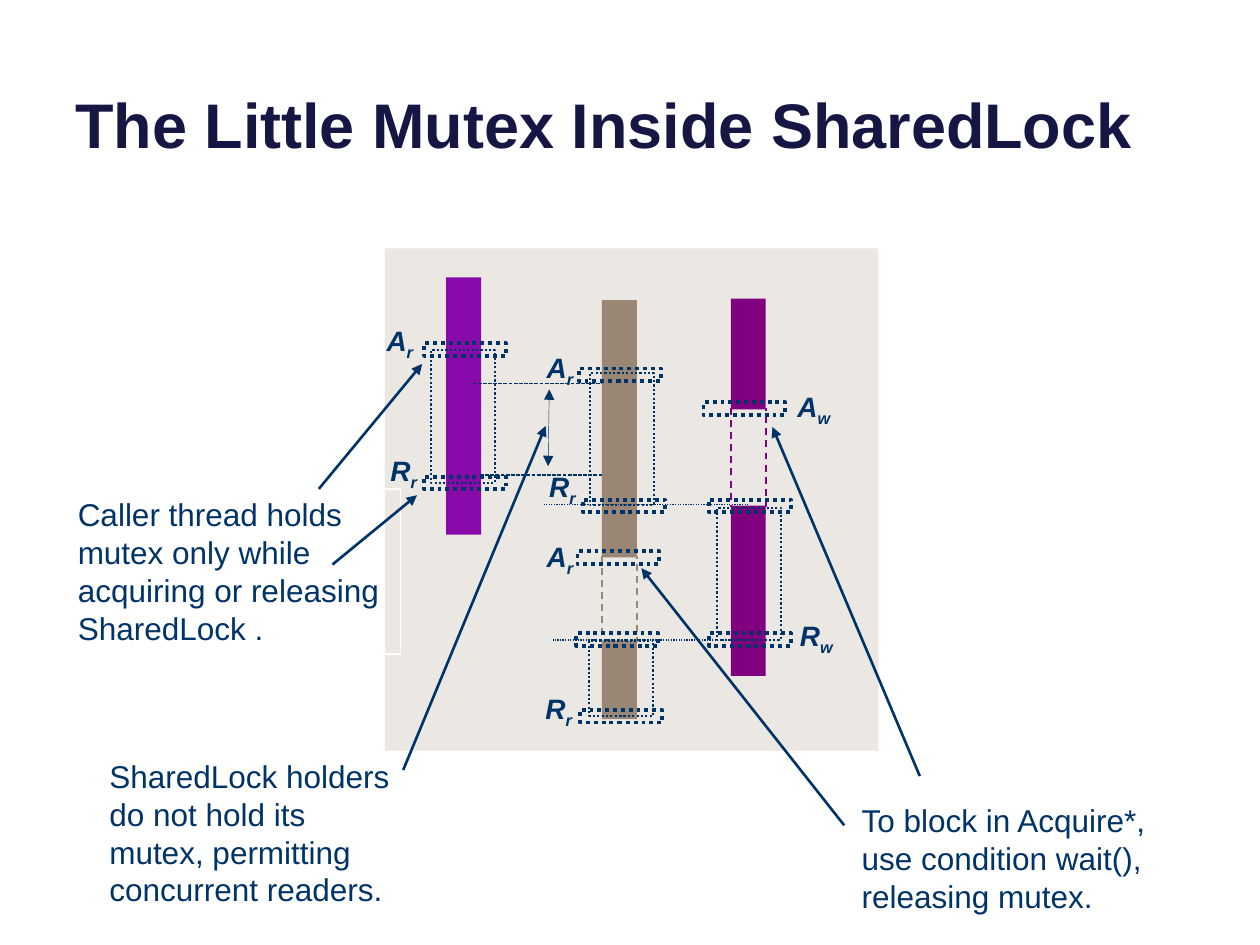
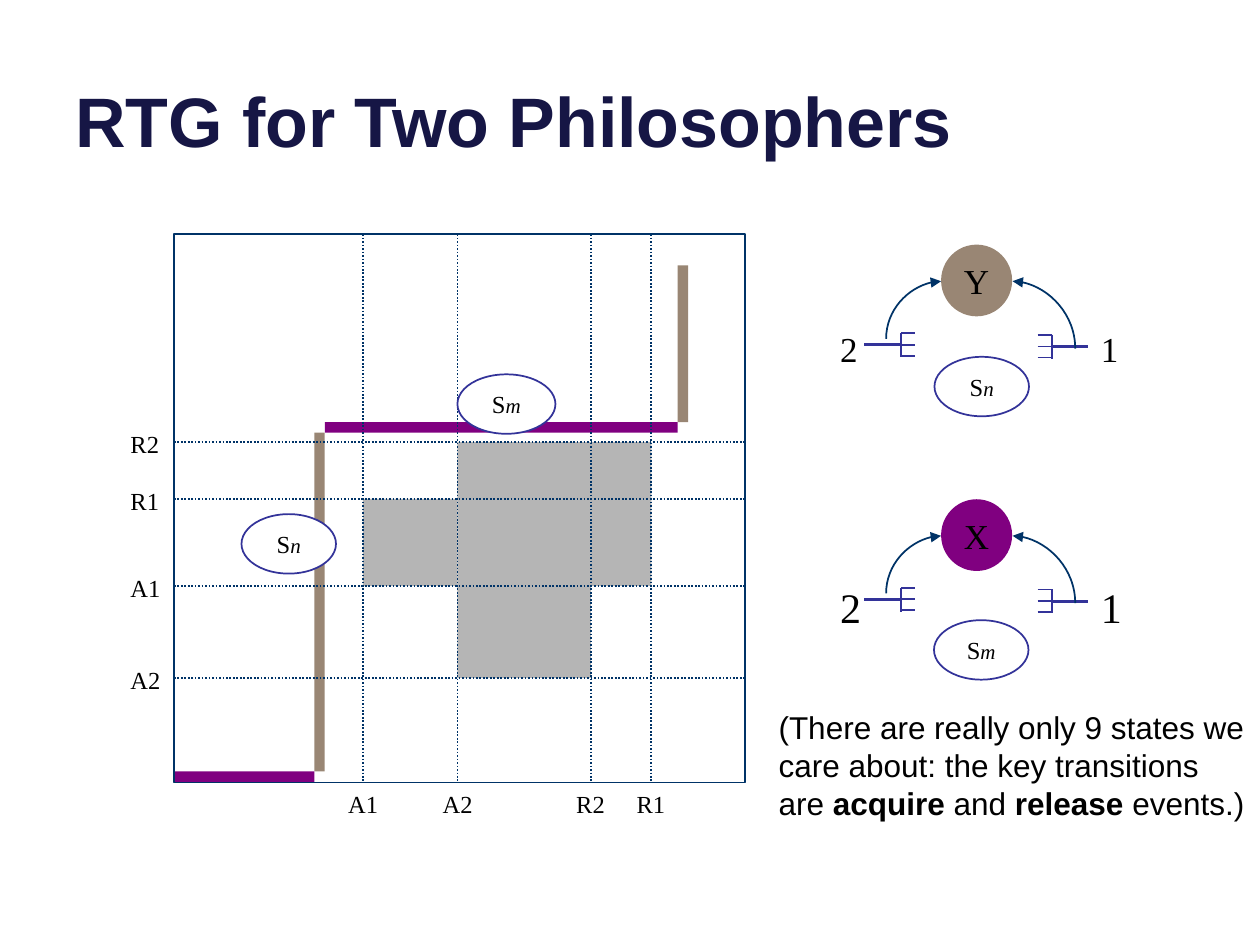
"""Build two lecture slides on shared locks and the two philosophers."""
from pptx import Presentation
from pptx.dml.color import RGBColor as Rgb
from pptx.enum.dml import MSO_LINE as Dash
from pptx.enum.shapes import MSO_CONNECTOR as Link, MSO_SHAPE as Shape
from pptx.enum.text import MSO_ANCHOR as Anchor, PP_ALIGN as Align
from pptx.oxml.ns import qn
from pptx.util import Pt

NAVY = Rgb(0x00, 0x33, 0x67)
INK = Rgb(0x16, 0x16, 0x45)
INDIGO = Rgb(0x33, 0x33, 0x99)
PURPLE = Rgb(0x80, 0x00, 0x80)
VIOLET = Rgb(0x88, 0x0A, 0xAA)
BROWN = Rgb(0x99, 0x86, 0x74)
SAND = Rgb(0xEB, 0xE7, 0xE3)
GREY = Rgb(0xB5, 0xB5, 0xB5)
WHITE = Rgb(0xFF, 0xFF, 0xFF)
BLACK = Rgb(0x00, 0x00, 0x00)

SANS = {"name": "Arial", "size": Pt(18)}
SIGN = {"name": "Arial", "size": Pt(16), "bold": True, "italic": True}
SERIF = {"name": "Times New Roman", "size": Pt(14)}
SUB = {"size": Pt(12), "italic": True}
BOLD = {"bold": True}


def put(slide, kind, box, fill=None, edge=None, paras=(), font=SANS, color=NAVY, frame=None):
    """Add a shape, or a text box when kind is None, with its paragraphs of runs."""
    box = [Pt(v) for v in box]
    if kind is None:
        item = slide.shapes.add_textbox(*box)
    else:
        item = slide.shapes.add_shape(kind, *box)
        item.shadow.inherit = False
        if fill is None:
            item.fill.background()
        else:
            item.fill.solid()
            item.fill.fore_color.rgb = fill
        if edge is None:
            item.line.fill.background()
        else:
            item.line.color.rgb, item.line.width, item.line.dash_style = edge
    body = item.text_frame
    look = {"word_wrap": True, "vertical_anchor": Anchor.TOP} | (frame or {})
    align = look.pop("align", Align.LEFT)
    for key, value in look.items():
        setattr(body, key, value)
    for i, runs in enumerate(paras):
        para = body.add_paragraph() if i else body.paragraphs[0]
        para.alignment = align
        for text, extra in runs:
            run = para.add_run()
            run.text = text
            run.font.color.rgb = color
            look = font | extra
            base = look.pop("base", None)
            for key, value in look.items():
                setattr(run.font, key, value)
            if base:
                run.font._element.set("baseline", base)
    return item


def join(slide, ends, color=NAVY, width=1, dash=None, heads=(), kind=Link.STRAIGHT):
    """Add a connector, with arrowheads at the named ends."""
    line = slide.shapes.add_connector(kind, *[Pt(v) for v in ends])
    line.line.color.rgb = color
    line.line.width = Pt(width)
    line.line.dash_style = dash
    prop = line._element.spPr
    if kind == Link.CURVE:
        prop.find(qn("a:prstGeom")).set("prst", "curvedConnector2")
    stroke = line.line._get_or_add_ln()
    for name in heads:
        tip = stroke.makeelement(qn("a:" + name), {"type": "triangle"})
        stroke.append(tip)
    prop.append(prop.makeelement(qn("a:effectLst"), {}))
    return line


deck = Presentation()
deck.slide_width, deck.slide_height = Pt(720), Pt(540)
pages = []
for title, size in (("The Little Mutex Inside SharedLock", 36), ("RTG for Two Philosophers", 40)):
    page = deck.slides.add_slide(deck.slide_layouts[6])
    put(page, None, (36, 0, 648, 95.8), paras=[[(title, BOLD | {"size": Pt(size)})]],
        color=INK, frame={"vertical_anchor": Anchor.BOTTOM})
    pages.append(page)
lock, graph = pages

put(lock, Shape.RECTANGLE, (220, 142, 282, 287), SAND)
for x, y, high, fill in (
    (344, 171.5, 147, BROWN), (344, 366, 45, BROWN), (255, 158.5, 147, VIOLET),
    (417.6, 170.6, 63.4, PURPLE), (417.6, 289, 97.2, PURPLE),
):
    put(lock, Shape.RECTANGLE, (x, y, 20, high), fill)
for x, y, high, color in ((417.6, 233.5, 56, PURPLE), (344, 318, 49, BROWN)):
    put(lock, Shape.RECTANGLE, (x, y, 20, high), edge=(color, Pt(1), Dash.DASH))
for x, y, high in (
    (246.2, 200.2, 75.6), (337, 213.1, 75.6), (409.7, 290.2, 75.6), (336.6, 366, 43.2),
):
    put(lock, Shape.RECTANGLE, (x, y, 36.7, high), edge=(NAVY, Pt(1.25), Dash.ROUND_DOT))
for x, y in (
    (242.3, 196.2), (242.3, 272.5), (330.8, 210.6), (333, 285.5), (330, 315),
    (329.4, 361.8), (331.6, 405.7), (402, 230), (405, 285.5), (405, 361.8),
):
    put(lock, Shape.RECTANGLE, (x, y, 46.8, 7.2), edge=(NAVY, Pt(2.25), Dash.ROUND_DOT))
for name, mode, x, y in (
    ("A", "r", 213.8, 181.4), ("A", "r", 305.3, 196.6), ("R", "r", 216, 255.6),
    ("R", "r", 306.7, 265), ("A", "r", 305.3, 304.6), ("R", "r", 304.6, 391.7),
    ("A", "w", 448.6, 218.9), ("R", "w", 450, 349.9),
):
    put(lock, None, (x, y, 54, 26.6), paras=[[(name, {}), (mode, {"base": "-25000"})]], font=SIGN)

note = put(lock, Shape.LINE_CALLOUT_2, (37.4, 279.4, 191.5, 94.3), edge=(WHITE, Pt(1), None),
           paras=[[("Caller thread holds mutex only while acquiring or releasing SharedLock .", {})]])
for i, value in enumerate((0.12, -0.04, 0.05, -0.23, -0.42, -0.37)):
    note.adjustments[i] = value
for text, box in (
    ("To block in Acquire*, use condition wait(), releasing mutex.", (485.3, 454.3, 179.3, 72.7)),
    ("SharedLock holders do not hold its mutex, permitting concurrent readers.",
     (55.4, 429, 179.3, 94.3)),
):
    put(lock, None, box, paras=[[(text, {})]])

for ends in (
    (190, 322.6, 238.3, 283), (182.2, 279.4, 241.2, 208), (525.6, 443.5, 441.4, 244),
    (482.4, 471.6, 366.5, 324.7), (230.4, 440, 311.8, 243.4),
):
    join(lock, ends, width=1.5, heads=["tailEnd"])
for x, y, end, dash in (
    (427.7, 288.4, 311, Dash.ROUND_DOT), (432.7, 365.8, 316, Dash.ROUND_DOT),
    (270, 219, 344, Dash.SQUARE_DOT), (274.3, 271.4, 344, Dash.SQUARE_DOT),
):
    join(lock, (x, y, end, y), width=0.75, dash=dash)
join(lock, (313.9, 222.5, 313.2, 266.4), width=0.25, heads=["headEnd", "tailEnd"])

cols = {"A1": 207.4, "A2": 261.4, "R2": 337.7, "R1": 372.2}
rows = {"A2": 387.4, "A1": 334.8, "R1": 285.1, "R2": 252.7}
left, top, wide, high = 99.4, 133.9, 326.2, 313.2
for west, east, north, south in (
    ("A1", "A2", "R1", "A1"), ("A2", "R1", "R1", "A1"),
    ("A2", "R2", "A1", "A2"), ("A2", "R1", "R2", "R1"),
):
    x, y = cols[west], rows[north]
    put(graph, Shape.RECTANGLE, (x, y, cols[east] - x, rows[south] - y), GREY)
for box, fill in (
    ((179.6, 247.2, 6, 193.6), BROWN), ((185.6, 241.2, 201.6, 6), PURPLE),
    ((387.2, 151.6, 6, 89.6), BROWN), ((left, 440.8, 80.2, 6), PURPLE),
):
    put(graph, Shape.RECTANGLE, box, fill)
put(graph, Shape.RECTANGLE, (left, top, wide, high), edge=(NAVY, Pt(1), None))

marks = []
for name, x in cols.items():
    join(graph, (x, top, x, top + high), dash=Dash.ROUND_DOT)
    marks.append((name, x - 15.5, top + high, 36, 14))
for name, y in rows.items():
    join(graph, (left, y, left + wide, y), dash=Dash.ROUND_DOT)
    marks.append((name, 67.5, y - 11, 36, 14))
for y, size in ((183.6, 20), (329, 24)):
    marks += [("1", 622, y, 30, size), ("2", 473, y, 30, size)]
for name, x, y, width, size in marks:
    put(graph, None, (x, y, width, size * 1.2 + 7), paras=[[(name, {"size": Pt(size)})]],
        font=SERIF, color=BLACK)

disc = {"vertical_anchor": Anchor.MIDDLE, "align": Align.CENTER}
disc |= {"margin_" + side: 0 for side in ("left", "right", "top", "bottom")}
for name, fill, drop in (("Y", BROWN, 0), ("X", PURPLE, 145.5)):
    put(graph, Shape.OVAL, (537.8, 139.8 + drop, 40.6, 41), fill,
        paras=[[(name, {"size": Pt(20)})]], font=SERIF, color=BLACK, frame=disc)
    for grip, neck, tip, mid in ((494, 515, 522.7, 197), (622, 601.2, 593, 198)):
        mid += drop
        join(graph, (neck, mid, grip, mid), INDIGO, 1.75)
        join(graph, (neck, mid - 6.7, neck, mid + 7), INDIGO)
        for gap in (-6.7, 0, 6.3):
            join(graph, (tip, mid + gap, neck, mid + gap), INDIGO)
    for x, end, low in ((537.8, 506.4, 193.6), (578.6, 614.4, 199.2)):
        join(graph, (x, 160.7 + drop, end, low + drop), heads=["headEnd"], kind=Link.CURVE)

for name, x, y, width in (
    ("n", 138, 293.8, 54), ("m", 261.4, 213.9, 56), ("n", 534, 203.9, 54), ("m", 533.7, 354.4, 54),
):
    put(graph, Shape.OVAL, (x, y, width, 34), WHITE, (INDIGO, Pt(1), None),
        [[("S", {}), (name, SUB)]], SERIF, BLACK, disc)
put(graph, None, (437.8, 401, 282.2, 72.7), color=BLACK, paras=[
    [("(There are really only 9 states we", {})],
    [("care about: the key transitions are ", {}), ("acquire", BOLD), (" and ", {}),
     ("release", BOLD), (" events.)", {})],
])

deck.save("out.pptx")
